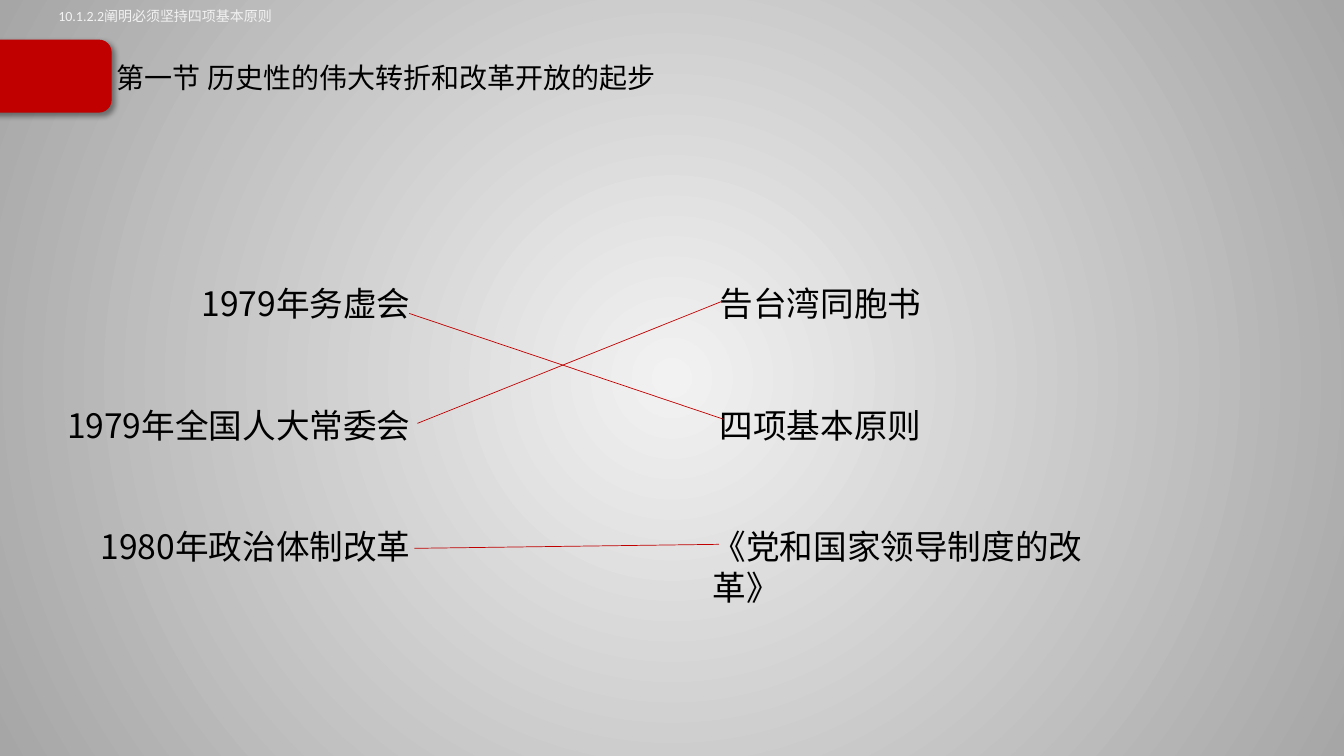
"""Build the matching-exercise slide on the start of reform and opening up."""
from dataclasses import dataclass

from pptx import Presentation
from pptx.dml.color import RGBColor
from pptx.enum.shapes import MSO_CONNECTOR as Connector, MSO_SHAPE as Shape
from pptx.enum.text import MSO_ANCHOR as Anchor, PP_ALIGN as Align
from pptx.oxml import parse_xml
from pptx.oxml.ns import nsdecls, qn
from pptx.util import Inches, Pt


@dataclass(frozen=True)
class Theme:
    """Colours, fonts and sizes of the slide."""
    red: str = "C00000"
    black: str = "000000"
    pale: str = "F2F2F2"
    grey: str = "A6A6A6"
    title_font: str = "Noto Sans CJK JP"
    body_font: str = "Noto Sans CJK SC"
    caption_font: str = "Calibri"
    title_size: int = 20
    body_size: int = 24
    caption_size: int = 10
    row_gap: int = 58


THEME = Theme()
EVENTS = ["1979年务虚会", "1979年全国人大常委会", "1980年政治体制改革"]
DOCUMENTS = ["告台湾同胞书", "四项基本原则", "《党和国家领导制度的改革》"]
MATCHES = [
    (4.06, 3.11, 7.18, 4.16),
    (4.14, 4.2, 7.16, 2.99),
    (4.11, 5.44, 7.13, 5.4),
]


def set_background(slide):
    """Fill the background with a circular gradient."""
    slide.element.cSld.insert(0, parse_xml(
        f'<p:bg {nsdecls("p", "a")}><p:bgPr><a:gradFill rotWithShape="1"><a:gsLst>'
        f'<a:gs pos="0"><a:srgbClr val="{THEME.pale}"/></a:gs>'
        f'<a:gs pos="100000"><a:srgbClr val="{THEME.grey}"/></a:gs></a:gsLst>'
        '<a:path path="circle"><a:fillToRect l="50000" t="50000" r="50000" b="50000"/>'
        '</a:path></a:gradFill><a:effectLst/></p:bgPr></p:bg>'))


def add_tab(slide, left, top, width, height):
    """Add the red rounded tab with its soft shadow."""
    shape = slide.shapes.add_shape(
        Shape.ROUNDED_RECTANGLE, *map(Inches, (left, top, width, height)))
    shape.fill.solid()
    shape.fill.fore_color.rgb = RGBColor.from_string(THEME.red)
    shape.line.color.rgb = RGBColor.from_string(THEME.red)
    shape.line.width = Pt(1)
    shape.shadow.inherit = False
    effects = shape.element.spPr.find(qn("a:effectLst"))
    effects.append(parse_xml(
        f'<a:outerShdw {nsdecls("a")} blurRad="{Pt(4)}" dist="{Pt(3)}" dir="2700000" '
        f'algn="tl" rotWithShape="0"><a:srgbClr val="{THEME.black}">'
        '<a:alpha val="40000"/></a:srgbClr></a:outerShdw>'))


def add_text(slide, box, lines, font, size, color, align=Align.LEFT):
    """Add a text box with one paragraph per line and return its frame."""
    text_frame = slide.shapes.add_textbox(*map(Inches, box)).text_frame
    text_frame.word_wrap = True
    text_frame.text = "\n".join(lines)
    for index, paragraph in enumerate(text_frame.paragraphs):
        paragraph.alignment = align
        if index:
            paragraph.space_before = Pt(THEME.row_gap)
        for run in paragraph.runs:
            run.font.name = font
            run.font.size = Pt(size)
            run.font.color.rgb = RGBColor.from_string(color)
            run.font.fill.solid()
            run.font.color.rgb = RGBColor.from_string(color)
            latin = run.font._element.find(qn("a:latin"))
            latin.addnext(parse_xml(f'<a:ea {nsdecls("a")} typeface="{font}"/>'))
    return text_frame


def add_column(slide, box, lines, align):
    """Add one column of items to be matched."""
    return add_text(slide, box, lines, THEME.body_font, THEME.body_size,
                    THEME.black, align)


def add_match(slide, start_x, start_y, end_x, end_y):
    """Draw a thin red line between two matching items."""
    line = slide.shapes.add_connector(
        Connector.STRAIGHT, *map(Inches, (start_x, start_y, end_x, end_y)))
    line.line.color.rgb = RGBColor.from_string(THEME.red)
    line.line.width = Pt(0.5)
    line.element.spPr.append(parse_xml(f'<a:effectLst {nsdecls("a")}/>'))


def main():
    """Build and save the slide."""
    presentation = Presentation()
    presentation.slide_width = Inches(13.33)
    presentation.slide_height = Inches(7.5)
    slide = presentation.slides.add_slide(presentation.slide_layouts[6])
    set_background(slide)
    add_tab(slide, -0.18, 0.4, 1.28, 0.71)

    title = add_text(slide, (1.06, 0.49, 11.15, 0.59),
                     ["第一节 历史性的伟大转折和改革开放的起步"],
                     THEME.title_font, THEME.title_size, THEME.black)
    title.vertical_anchor = Anchor.MIDDLE
    title.paragraphs[0].line_spacing = 0.9

    add_column(slide, (0.3, 2.76, 3.87, 2.9), EVENTS, Align.RIGHT)
    documents = add_column(slide, (6.97, 2.76, 4.35, 3.3), DOCUMENTS, Align.LEFT)
    for paragraph in documents.paragraphs[:2]:
        paragraph._p.get_or_add_pPr().set("marL", str(Inches(0.07)))

    for match in MATCHES:
        add_match(slide, *match)
    add_text(slide, (0.48, 0.03, 7.82, 0.27), ["10.1.2.2阐明必须坚持四项基本原则"],
             THEME.caption_font, THEME.caption_size, THEME.pale)
    presentation.save("out.pptx")


if __name__ == "__main__":
    main()
